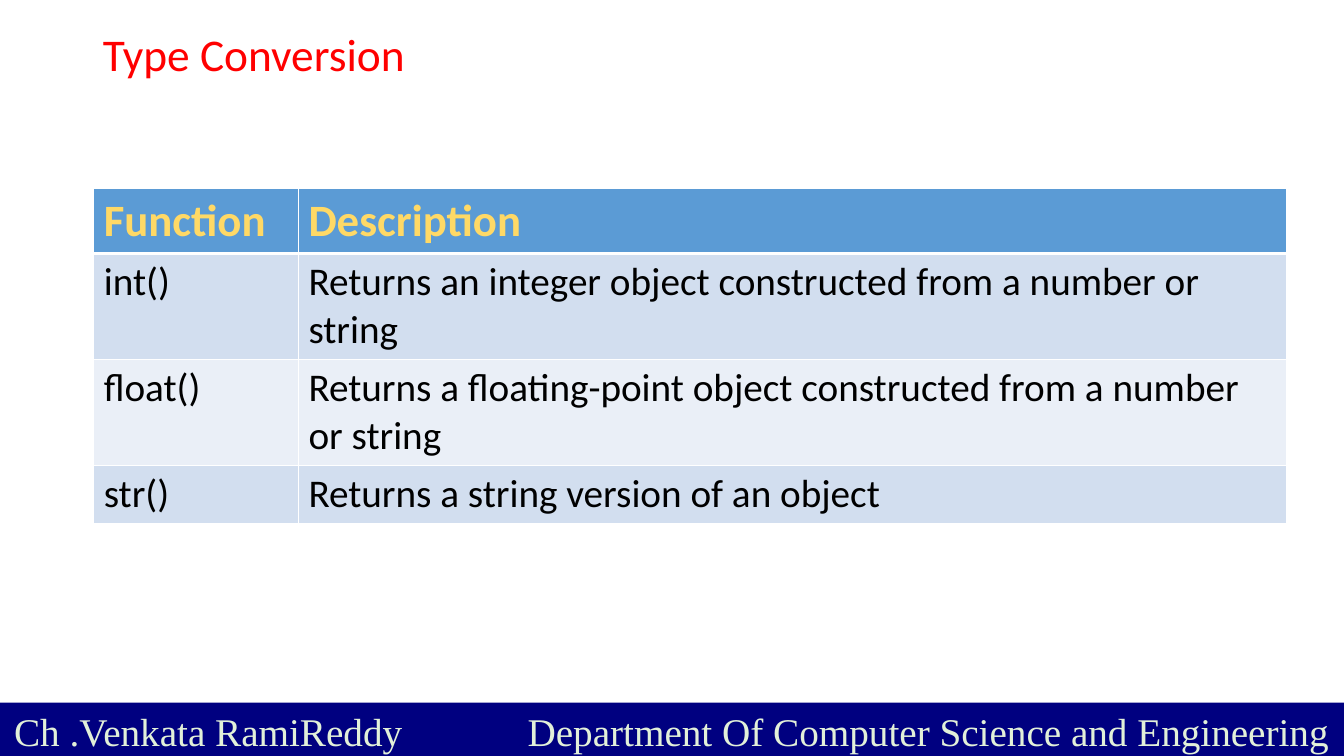
from dataclasses import dataclass

import pptx
import pptx.dml.color
import pptx.enum.shapes
import pptx.enum.text
import pptx.oxml
import pptx.oxml.ns
import pptx.util
from pptx.util import Inches


@dataclass(frozen=True)
class Theme:
    body_font: str = "Calibri"
    footer_font: str = "Times New Roman"
    title_color: str = "FF0000"
    header_text: str = "FFD966"
    body_text: str = "000000"
    footer_text: str = "E2F0D9"
    header_fill: str = "5B9BD5"
    odd_fill: str = "D2DEEF"
    even_fill: str = "EAEFF7"
    footer_fill: str = "000080"
    border: str = "FFFFFF"
    title_size: float = 32.4
    header_size: float = 32
    body_size: float = 28
    thin: float = 1
    thick: float = 3


@dataclass(frozen=True)
class Row:
    function: str
    description: str
    height: float


THEME = Theme()
COLUMN_WIDTHS = (2.03, 9.8)
ROWS = (
    Row("Function", "Description", 0.62),
    Row("int()", "Returns an integer object constructed from a number or string", 1.04),
    Row("float()", "Returns a floating-point object constructed from a number or string", 1.04),
    Row("str()", "Returns a string version of an object", 0.57),
)


def rgb(color: str) -> pptx.dml.color.RGBColor:
    return pptx.dml.color.RGBColor.from_string(color)


def write(frame, text: str, *, size: float, color: str, font: str = THEME.body_font,
          bold: bool = False, line_spacing: float = 1.0,
          anchor=pptx.enum.text.MSO_ANCHOR.TOP) -> None:
    frame.word_wrap = True
    frame.vertical_anchor = anchor
    para = frame.paragraphs[0]
    para.alignment = pptx.enum.text.PP_ALIGN.LEFT
    para.line_spacing = line_spacing
    span = para.add_run()
    span.text = text
    span.font.name = font
    span.font.size = pptx.util.Pt(size)
    span.font.bold = bold
    span.font.color.rgb = rgb(color)


def add_border(cell, side: str, width: float) -> None:
    properties = cell._tc.get_or_add_tcPr()
    properties.append(pptx.oxml.parse_xml(
        f'<a:{side} {pptx.oxml.ns.nsdecls("a")} w="{pptx.util.Pt(width)}">'
        f'<a:solidFill><a:srgbClr val="{THEME.border}"/></a:solidFill></a:{side}>'))


def add_title(page) -> None:
    title = page.shapes.title
    title.left, title.top = Inches(0.92), Inches(0.3)
    title.width, title.height = Inches(11.5), Inches(0.53)
    write(title.text_frame, "Type Conversion", size=THEME.title_size,
          color=THEME.title_color, line_spacing=0.9,
          anchor=pptx.enum.text.MSO_ANCHOR.MIDDLE)


def add_function_table(page) -> None:
    table = page.shapes.add_table(
        len(ROWS), len(COLUMN_WIDTHS), Inches(0.93), Inches(1.87),
        Inches(sum(COLUMN_WIDTHS)), Inches(sum(row.height for row in ROWS))).table
    for column, width in zip(table.columns, COLUMN_WIDTHS):
        column.width = Inches(width)

    for index, row in enumerate(ROWS):
        table.rows[index].height = Inches(row.height)
        header = index == 0
        fill = THEME.odd_fill if index % 2 else THEME.even_fill
        for cell, text in zip(table.rows[index].cells, (row.function, row.description)):
            # Borders, with a thick rule under the header
            for side in ("lnL", "lnR"):
                add_border(cell, side, THEME.thin)
            add_border(cell, "lnT", THEME.thick if index == 1 else THEME.thin)
            add_border(cell, "lnB", THEME.thick if header else THEME.thin)
            cell.fill.solid()
            cell.fill.fore_color.rgb = rgb(THEME.header_fill if header else fill)
            write(cell.text_frame, text, bold=header,
                  size=THEME.header_size if header else THEME.body_size,
                  color=THEME.header_text if header else THEME.body_text)
            cell.vertical_anchor = (pptx.enum.text.MSO_ANCHOR.BOTTOM if header
                                    else pptx.enum.text.MSO_ANCHOR.TOP)


def add_footer(page) -> None:
    box = page.shapes.add_shape(pptx.enum.shapes.MSO_SHAPE.RECTANGLE,
                                Inches(0), Inches(6.97), Inches(13.33), Inches(0.53))
    box.shadow.inherit = False
    box.fill.solid()
    box.fill.fore_color.rgb = rgb(THEME.footer_fill)
    box.line.fill.background()
    frame = box.text_frame
    frame.margin_left = frame.margin_right = Inches(0.14)
    # A right tab sends the department to the far edge
    properties = frame.paragraphs[0]._p.get_or_add_pPr()
    properties.append(pptx.oxml.parse_xml(
        f'<a:tabLst {pptx.oxml.ns.nsdecls("a")}>'
        f'<a:tab pos="{Inches(13.04)}" algn="r"/></a:tabLst>'))
    write(frame, "Ch .Venkata RamiReddy\tDepartment Of Computer Science and Engineering",
          size=THEME.body_size, color=THEME.footer_text, font=THEME.footer_font)


def main() -> None:
    deck = pptx.Presentation()
    deck.slide_width, deck.slide_height = Inches(13.33), Inches(7.5)
    page = deck.slides.add_slide(deck.slide_layouts.get_by_name("Title Only"))
    add_title(page)
    add_function_table(page)
    add_footer(page)
    deck.save("out.pptx")


if __name__ == "__main__":
    main()
